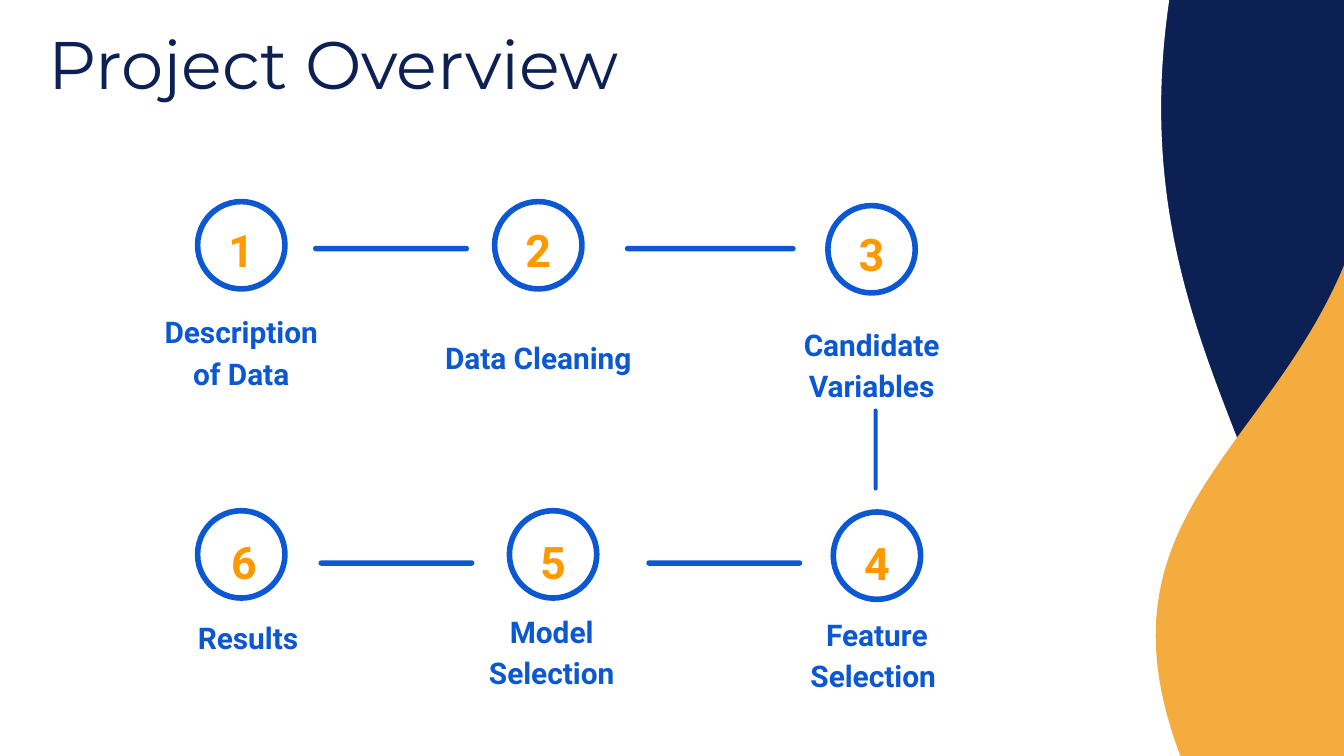
from dataclasses import dataclass
from pptx import Presentation, util as u
from pptx.dml.color import RGBColor
from pptx.enum import shapes, text

NAVY, BLUE, ORANGE, GOLD, WHITE = "0C2054", "0C58D3", "FF9900", "F3AC3D", "FFFFFF"
COLUMNS = (1.47, 3.68, 6.16)
ROWS = (1.5, 3.8)
RING = 0.65
BAR = 0.04
NUMBER_WIDTH = 0.48


@dataclass(frozen=True)
class Step:
    number: int
    label: str
    column: int
    row: int
    label_bottom: float
    shift: tuple[float, float] = (0, 0)
    label_width: float = 1.49
    label_height: float = 0.49
    label_shift: float = 0
    number_shift: float = 0
    number_drop: float = 0
    number_height: float = 0.53


@dataclass(frozen=True)
class Link:
    left: float
    row: int
    width: float = 1.16


STEPS = (
    Step(1, "Description of Data", 0, 0, 3.01, label_width=1.43),
    Step(2, "Data Cleaning", 1, 0, 2.89, label_width=1.72),
    Step(3, "Candidate Variables", 2, 0, 3.1, (0, 0.03), label_height=0.65, number_height=0.71),
    Step(4, "Feature Selection ", 2, 1, 5.26, (0.04, 0.01), 1.43, 0.65, number_drop=0.02),
    Step(5, "Model Selection", 1, 1, 5.24, (0.11, 0), label_shift=-0.01, number_drop=0.02),
    Step(6, "Results", 0, 1, 4.98, label_shift=0.05, number_shift=0.02, number_drop=0.02,
         number_height=0.68),
)
LINKS = (Link(2.33, 0), Link(4.65, 0, 1.27), Link(4.81, 1), Link(2.37, 1))
LINK_DROPS = (0.33, 0.37)


def color(value: str) -> RGBColor:
    return RGBColor.from_string(value)


def box(left: float, top: float, width: float, height: float) -> list[int]:
    return [u.Inches(length) for length in (left, top, width, height)]


def filled(slide, preset, area: list[int], fill: str, turn: float = 0):
    shape = slide.shapes.add_shape(preset, *area)
    shape.shadow.inherit = False
    shape.fill.solid()
    shape.fill.fore_color.rgb = color(fill)
    shape.line.fill.background()
    shape.rotation = turn
    return shape


def draw_bar(slide, area: list[int], turn: float = 0) -> None:
    bar = filled(slide, shapes.MSO_SHAPE.ROUNDED_RECTANGLE, area, BLUE, turn)
    bar.adjustments[0] = 0.5


def format_frame(frame, anchor) -> None:
    frame.word_wrap = True
    frame.auto_size = text.MSO_AUTO_SIZE.NONE
    frame.vertical_anchor = anchor
    frame.margin_left = frame.margin_right = u.Inches(0.1)
    frame.margin_top = frame.margin_bottom = u.Inches(0.1)


def format_font(font, name: str, size: float, value: str, bold: bool) -> None:
    font.name, font.size, font.bold = name, u.Pt(size), bold
    font.color.rgb = color(value)


def write(slide, words: str, area: list[int], size: float, value: str, anchor, after: float = 0) -> None:
    frame = slide.shapes.add_textbox(*area).text_frame
    format_frame(frame, anchor)
    paragraph = frame.paragraphs[0]
    paragraph.text = words
    paragraph.alignment = text.PP_ALIGN.CENTER
    paragraph.line_spacing = 1.15
    paragraph.space_after = u.Pt(after)
    format_font(paragraph.font, "Roboto", size, value, True)


def draw_step(slide, step: Step) -> None:
    left = COLUMNS[step.column] + step.shift[0]
    top = ROWS[step.row] + step.shift[1]
    center = left + RING / 2
    ring = slide.shapes.add_shape(shapes.MSO_SHAPE.OVAL, *box(left, top, RING, RING))
    ring.shadow.inherit = False
    ring.fill.background()
    ring.line.color.rgb = color(BLUE)
    ring.line.width = u.Pt(3)
    write(slide, str(step.number),
          box(center + step.number_shift - NUMBER_WIDTH / 2, top + step.number_drop,
              NUMBER_WIDTH, step.number_height),
          24, ORANGE, text.MSO_ANCHOR.TOP, 16)
    write(slide, step.label,
          box(center + step.label_shift - step.label_width / 2, step.label_bottom - step.label_height,
              step.label_width, step.label_height),
          16, BLUE, text.MSO_ANCHOR.BOTTOM)


def draw_backdrop(slide) -> None:
    slide.background.fill.solid()
    slide.background.fill.fore_color.rgb = color(NAVY)
    wave = shapes.MSO_SHAPE.FLOWCHART_DOCUMENT
    filled(slide, wave, box(0.93, -2.64, 7.72, 10.81), WHITE, 281.6)
    gold_wave = filled(slide, wave, box(10.15, -1.08, 5.67, 9), GOLD, 90)
    gold_wave.element.spPr.xfrm.set("flipH", "1")


def draw_title(slide, words: str) -> None:
    title = slide.shapes.title
    title.left, title.top, title.width, title.height = box(0.26, 0.2, 8.43, 0.53)
    title.element.getparent().append(title.element)
    format_frame(title.text_frame, text.MSO_ANCHOR.MIDDLE)
    paragraph = title.text_frame.paragraphs[0]
    paragraph.text = words
    paragraph.alignment = text.PP_ALIGN.LEFT
    format_font(paragraph.font, "Montserrat", 36, NAVY, False)


def main() -> None:
    deck = Presentation()
    deck.slide_width = u.Inches(10)
    deck.slide_height = deck.slide_width * 9 // 16
    slide = deck.slides.add_slide(deck.slide_layouts[5])
    draw_backdrop(slide)
    for link in LINKS:
        draw_bar(slide, box(link.left, ROWS[link.row] + LINK_DROPS[link.row], link.width, BAR))
    draw_bar(slide, box(6.21, 3.33, 0.61, 0.03), 90)
    for step in STEPS:
        draw_step(slide, step)
    draw_title(slide, "Project Overview")
    deck.save("out.pptx")


if __name__ == "__main__":
    main()
